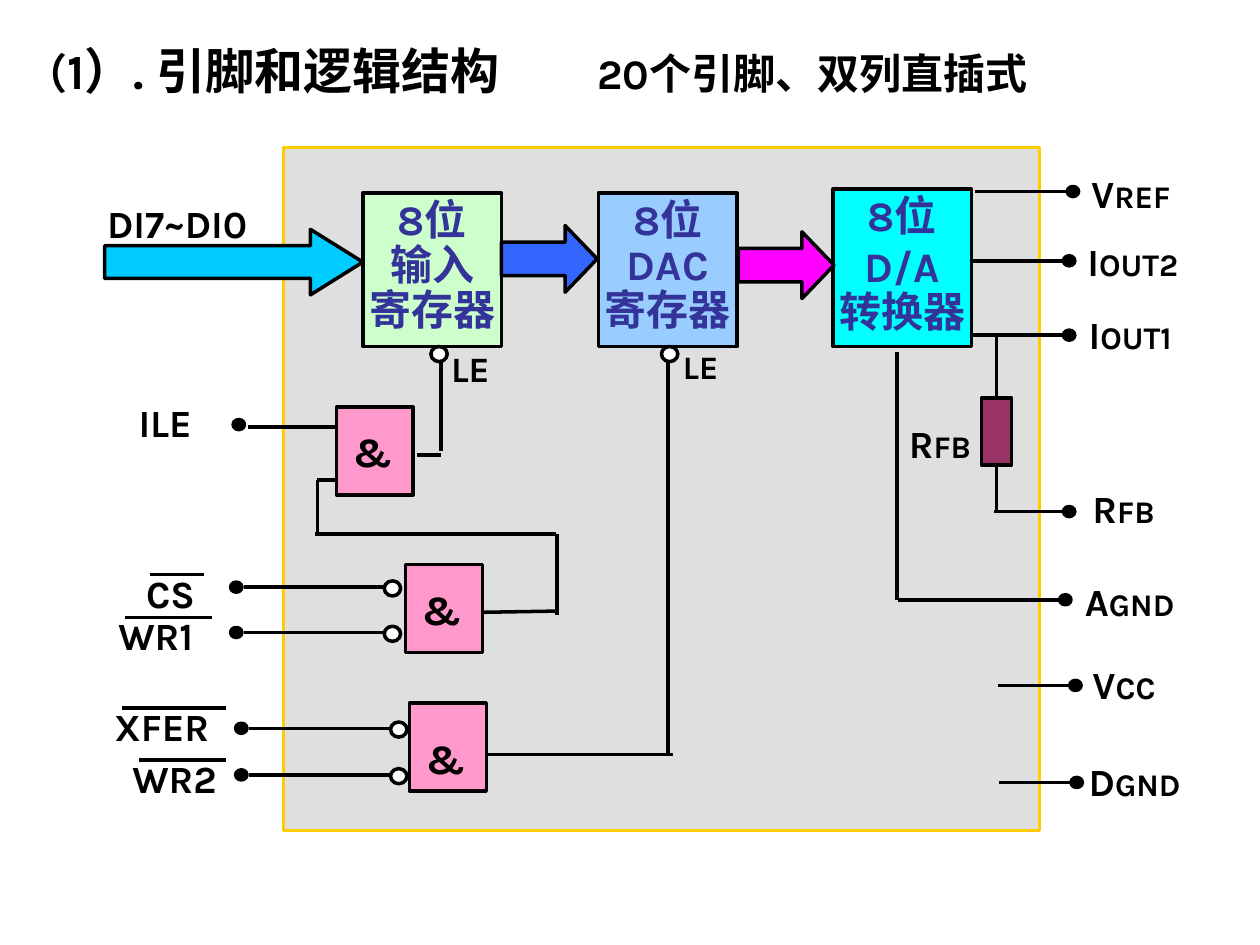
from dataclasses import dataclass

from lxml import etree
from pptx import Presentation
from pptx.dml.color import RGBColor
from pptx.enum.shapes import MSO_CONNECTOR, MSO_SHAPE
from pptx.enum.text import MSO_ANCHOR, MSO_AUTO_SIZE, PP_ALIGN
from pptx.oxml.ns import qn
from pptx.util import Inches, Pt

RECT, OVAL, ARROW = MSO_SHAPE.RECTANGLE, MSO_SHAPE.OVAL, MSO_SHAPE.RIGHT_ARROW
LEFT, MID = PP_ALIGN.LEFT, PP_ALIGN.CENTER
TOP, MIDDLE = MSO_ANCHOR.TOP, MSO_ANCHOR.MIDDLE
NOFIT = MSO_AUTO_SIZE.NONE
STRAIGHT = MSO_CONNECTOR.STRAIGHT


@dataclass(frozen=True)
class Theme:
    latin: str = "Karla"
    cjk: str = "Noto Sans CJK SC"
    ink: str = "000000"
    blue: str = "333399"
    white: str = "FFFFFF"
    chip: str = "C0C0C0"
    edge: str = "FFCC00"
    gate: str = "FF99CC"
    load: str = "993366"
    green: str = "CCFFCC"
    sky: str = "99CCFF"
    cyan: str = "00FFFF"
    bus: str = "00CCFF"
    royal: str = "3366FF"
    pink: str = "FF00FF"
    title: float = 28
    block: float = 24
    pin: float = 22
    sub: float = 18
    line: float = 2


T = Theme()

# left, top, width, height, fill, lines
BLOCKS = [
    (2.88, 1.53, 1.1, 1.22, T.green, ["8位", "输入", "寄存器"]),
    (4.75, 1.53, 1.1, 1.22, T.sky, ["8位", "DAC", "寄存器"]),
    (6.61, 1.5, 1.1, 1.25, T.cyan, ["8位", "D/A", "转换器"]),
]
# left, top, width, height, fill, head length
ARROWS = [
    (5.86, 1.84, 0.76, 0.53, T.pink, 0.48),
    (3.98, 1.79, 0.76, 0.53, T.royal, 0.48),
    (0.83, 1.82, 2.05, 0.52, T.bus, 0.8),
]
# name, small part, label left and top, wire start, dot left, wire height
OUTPUTS = [
    ("V", "REF", 8.66, 1.35, 7.74, 8.47, 1.52),
    ("I", "OUT2", 8.63, 1.89, 7.71, 8.44, 2.07),
    ("I", "OUT1", 8.64, 2.47, 7.71, 8.44, 2.66),
    ("R", "FB", 8.67, 3.85, 7.89, 8.44, 4.06),
    ("A", "GND", 8.61, 4.59, 7.13, 8.41, 4.76),
    ("V", "CC", 8.67, 5.25, 7.92, 8.49, 5.44),
    ("D", "GND", 8.64, 6.02, 7.93, 8.5, 6.21),
]
# name, label left and top, bar start and end, dot left, wire end and height
INPUTS = [
    ("CS", 1.16, 4.52, 1.19, 1.62, 1.83, 3.05, 4.66),
    ("WR1", 0.94, 4.86, 0.99, 1.68, 1.83, 3.05, 5.02),
    ("XFER", 0.91, 5.58, 0.97, 1.79, 1.87, 3.1, 5.78),
    ("WR2", 1.05, 5.99, 1.1, 1.79, 1.87, 3.1, 6.15),
]
WIRES = [
    (7.12, 2.79, 7.12, 4.76),
    (1.97, 3.39, 2.71, 3.39),
    (2.74, 3.81, 2.52, 3.81),
    (2.52, 3.81, 2.52, 4.25),
    (2.5, 4.24, 4.41, 4.24),
    (4.42, 4.24, 4.42, 4.88),
    (3.81, 4.86, 4.41, 4.85),
    (3.31, 3.61, 3.5, 3.61),
    (3.5, 2.75, 3.5, 3.58),
    (3.87, 5.99, 5.34, 5.99),
]
# gate left and top, sign top
GATES = [(3.22, 4.48, 4.43), (2.67, 3.23, 3.18), (3.25, 5.58, 5.61)]


def rgb(code):
    return RGBColor.from_string(code)


def text(shape, lines, size=T.pin, color=T.ink, align=LEFT, anchor=TOP,
         space=None, inset=(0, 0), tab=None):
    """Fill a shape; a line is a string or a list of (text, size, font) runs."""
    frame = shape.text_frame
    frame.word_wrap = True
    frame.auto_size = NOFIT
    frame.vertical_anchor = anchor
    frame.margin_left = frame.margin_right = Inches(inset[0])
    frame.margin_top = frame.margin_bottom = Inches(inset[1])
    for i, line in enumerate(lines):
        para = frame.add_paragraph() if i else frame.paragraphs[0]
        para.alignment = align
        para.line_spacing = space
        if tab:
            stops = etree.SubElement(para._p.get_or_add_pPr(), qn("a:tabLst"))
            etree.SubElement(stops, qn("a:tab"), pos=str(Inches(tab)), algn="l")
        for part, pts, face in [(line, size, T.latin)] if isinstance(line, str) else line:
            run = para.add_run()
            run.text = part
            font = run.font
            font.size, font.bold, font.name = Pt(pts), True, face
            font.color.rgb = rgb(color)
            etree.SubElement(run._r.get_or_add_rPr(), qn("a:ea"), typeface=face)


def label(slide, x, y, w, h, line, **style):
    text(slide.shapes.add_textbox(*map(Inches, (x, y, w, h))), [line], **style)


def shape(slide, kind, x, y, w, h, fill, edge=T.ink):
    item = slide.shapes.add_shape(kind, *map(Inches, (x, y, w, h)))
    item.shadow.inherit = False
    item.fill.solid()
    item.fill.fore_color.rgb = rgb(fill)
    item.line.color.rgb = rgb(edge)
    item.line.width = Pt(T.line)
    return item


def wire(slide, x1, y1, x2, y2):
    item = slide.shapes.add_connector(STRAIGHT, *map(Inches, (x1, y1, x2, y2)))
    item.line.color.rgb = rgb(T.ink)
    item.line.width = Pt(T.line)
    etree.SubElement(item._element.spPr, qn("a:effectLst"))
    return item


def dot(slide, x, y):
    shape(slide, OVAL, x, y - 0.04, 0.09, 0.08, T.ink)


def ring(slide, x, y):
    shape(slide, OVAL, x, y, 0.13, 0.12, T.white)


def named(head, tail):
    return [(head, T.pin, T.latin), (tail, T.sub, T.latin)]


def heading(slide):
    title = slide.shapes.title
    title.left, title.top, title.width, title.height = map(Inches, (0, 0.27, 8.66, 0.57))
    runs = [("（", T.block, T.cjk), ("1）. 引脚和逻辑结构\t", T.title, T.latin),
            ("20个引脚、双列直插式", T.block, T.latin)]
    text(title, [runs], anchor=MIDDLE, inset=(0.2, 0.05), tab=4.54)


def chip(slide):
    """Draw the package with its blocks; return the DAC register."""
    body = shape(slide, RECT, 2.25, 1.17, 6, 5.42, T.chip, T.edge)
    tint = body._element.spPr.find(qn("a:solidFill"))[0]
    etree.SubElement(tint, qn("a:alpha"), val="50000")
    blocks = []
    for *box, fill, lines in BLOCKS:
        block = shape(slide, RECT, *box, fill)
        text(block, lines, size=T.block, color=T.blue, align=MID, space=0.9,
             inset=(0, 0.05))
        blocks.append(block)
    blocks[2].text_frame.paragraphs[1].line_spacing = 1.0
    return blocks[1]


def outputs(slide):
    for head, tail, x, top, start, end, y in OUTPUTS:
        wire(slide, start, y, end, y)
        dot(slide, end, y)
        label(slide, x, top, 1.09, 0.4, named(head, tail))
    load = shape(slide, RECT, 7.79, 3.16, 0.24, 0.53, T.load)
    wire(slide, 7.91, 2.66, 7.91, 3.16).end_connect(load, 0)
    wire(slide, 7.91, 3.69, 7.91, 4.06).begin_connect(load, 2)
    label(slide, 7.17, 3.33, 0.58, 0.37, named("R", "FB"), align=MID)


def inputs(slide):
    label(slide, 0.85, 1.59, 1.4, 0.43, "DI7~DI0")
    label(slide, 1.1, 3.17, 0.66, 0.43, "ILE")
    dot(slide, 1.85, 3.37)
    for name, x, top, left, right, spot, end, y in INPUTS:
        label(slide, x, top, 0.94, 0.39, name)
        wire(slide, left, top + 0.04, right, top + 0.04)
        wire(slide, spot + 0.11, y, end, y)
        dot(slide, spot, y)
        ring(slide, end, y - 0.05)


def main():
    deck = Presentation()
    deck.slide_width, deck.slide_height = Inches(10), Inches(7.5)
    slide = deck.slides.add_slide(deck.slide_layouts[5])
    heading(slide)
    latch = chip(slide)
    outputs(slide)
    for ends in WIRES:
        wire(slide, *ends)
    wire(slide, 5.3, 2.75, 5.3, 6).begin_connect(latch, 2)
    for *box, fill, head in ARROWS:
        arrow = shape(slide, ARROW, *box, fill)
        arrow.adjustments[0], arrow.adjustments[1] = 0.5, head
    inputs(slide)
    for x, y, top in GATES:
        shape(slide, RECT, x, y, 0.61, 0.7, T.gate)
        label(slide, x + 0.02, top, 0.53, 0.63, "&", size=T.block, align=MID, space=1.5)
    for x, left, size in [(3.42, 3.58, 20.4), (5.25, 5.42, 18.7)]:
        ring(slide, x, 2.75)
        label(slide, left, 2.75, 0.74, 0.34, "LE", size=size)
    deck.save("out.pptx")


if __name__ == "__main__":
    main()
